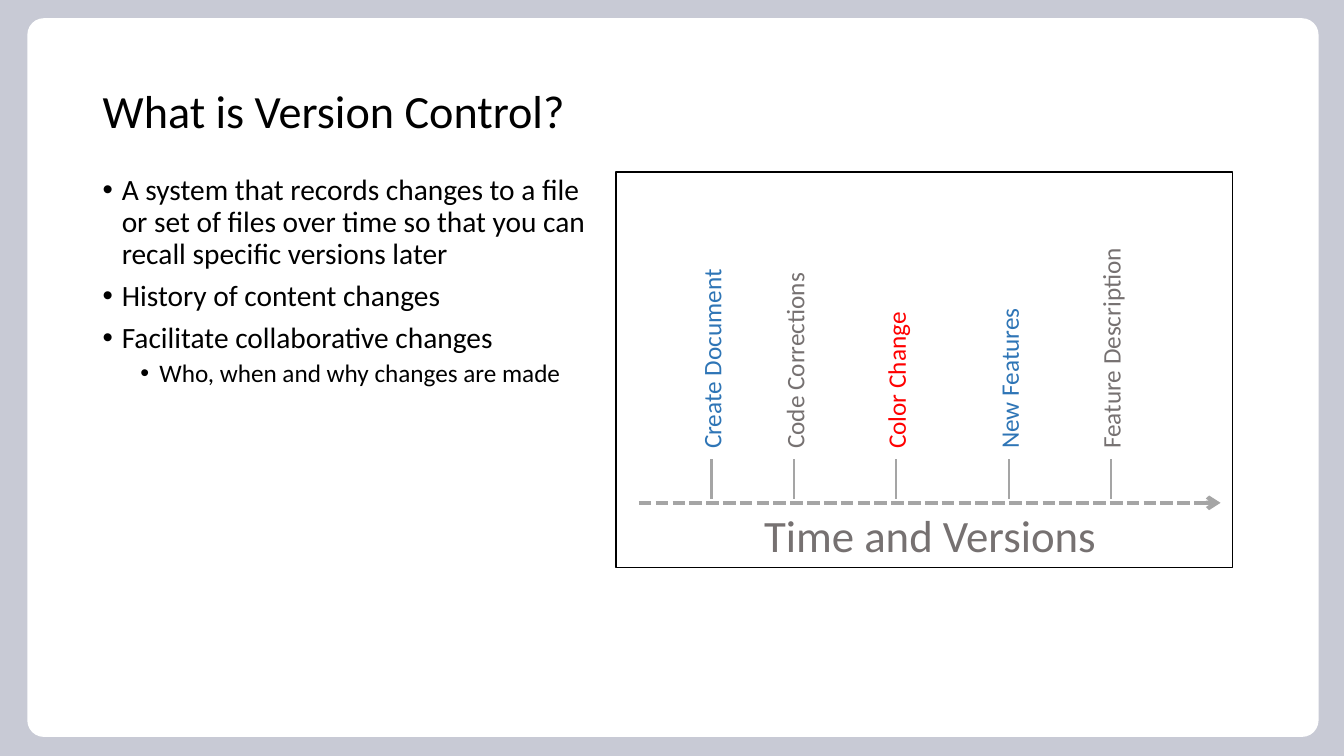
from lxml.etree import SubElement
from pptx import Presentation
from pptx.dml.color import RGBColor
from pptx.enum.dml import MSO_LINE
from pptx.enum.shapes import MSO_CONNECTOR, MSO_SHAPE
from pptx.enum.text import MSO_ANCHOR, PP_ALIGN
from pptx.oxml.ns import qn
from pptx.util import Cm, Pt

BLACK, WHITE, GREY, BLUE, RED = "000000", "FFFFFF", "767171", "2E75B6", "FF0000"
BACKDROP, AXIS = "C8CAD5", "A5A5A5"
AXIS_LEFT, AXIS_RIGHT, AXIS_Y = 16.1, 30.76, 12.67
TICK_TOP, TICK_BOTTOM = 11.56, 12.57
LABEL_HEIGHT = 1.02

POINTS = [
    (0, "A system that records changes to a file or set of files over time "
        "so that you can recall specific versions later"),
    (0, "History of content changes"),
    (0, "Facilitate collaborative changes"),
    (1, "Who, when and why changes are made"),
]
VERSIONS = [
    (17.93, 5.08, "Create Document", BLUE),
    (20.02, 5.08, "Code Corrections", GREY),
    (22.58, 5.08, "Color Change", RED),
    (25.43, 5.08, "New Features", BLUE),
    (27.99, 5.74, "Feature Description", GREY),
]


def paint(target, color):
    target.solid()
    target.fore_color.rgb = RGBColor.from_string(color)


def add_panel(slide, preset, left, top, width, height, border=None):
    panel = slide.shapes.add_shape(preset, Cm(left), Cm(top), Cm(width), Cm(height))
    panel.shadow.inherit = False
    paint(panel.fill, WHITE)
    if border:
        paint(panel.line.fill, border)
        panel.line.width = Pt(1)
    else:
        panel.line.fill.background()
    return panel


def add_box(slide, left, top, width, height, anchor=MSO_ANCHOR.TOP):
    box = slide.shapes.add_textbox(Cm(left), Cm(top), Cm(width), Cm(height))
    box.text_frame.word_wrap = True
    box.text_frame.vertical_anchor = anchor
    return box


def write(paragraph, words, size, color):
    run = paragraph.add_run()
    run.text = words
    run.font.name = "Calibri"
    run.font.size = Pt(size)
    paint(run.font.fill, color)


def add_title(slide, words):
    title = add_box(slide, 2.34, 1.02, 29.21, 3.68, MSO_ANCHOR.MIDDLE)
    paragraph = title.text_frame.paragraphs[0]
    paragraph.line_spacing = 0.9
    write(paragraph, words, 33, BLACK)


def add_bullets(slide, points):
    frame = add_box(slide, 2.34, 4.29, 12.67, 9.63).text_frame
    for index, (level, words) in enumerate(points):
        paragraph = frame.add_paragraph() if index else frame.paragraphs[0]
        properties = paragraph._p.get_or_add_pPr()
        properties.set("marL", str(Cm(0.48 + 0.95 * level)))
        properties.set("indent", str(Cm(-0.48)))
        SubElement(properties, qn("a:buFont"), typeface="Arial")
        SubElement(properties, qn("a:buChar"), char="•")
        paragraph.level = level
        paragraph.line_spacing = 0.9
        if index:
            paragraph.space_before = Pt(3.8 if level else 7.5)
        write(paragraph, words, 18 if level else 21, BLACK)


def add_line(slide, x1, y1, x2, y2, width):
    line = slide.shapes.add_connector(
        MSO_CONNECTOR.STRAIGHT, Cm(x1), Cm(y1), Cm(x2), Cm(y2))
    paint(line.line.fill, AXIS)
    line.line.width = Pt(width)
    SubElement(line._element.spPr, qn("a:effectLst"))
    return line


def add_time_axis(slide, words):
    caption = add_box(slide, AXIS_LEFT, AXIS_Y, 14.68, 1.63)
    paragraph = caption.text_frame.paragraphs[0]
    paragraph.alignment = PP_ALIGN.CENTER
    write(paragraph, words, 32, GREY)
    axis = add_line(slide, AXIS_LEFT, AXIS_Y, AXIS_RIGHT, AXIS_Y, 3)
    axis.line.dash_style = MSO_LINE.SQUARE_DOT
    SubElement(axis.line._get_or_add_ln(), qn("a:tailEnd"), type="arrow")


def add_version(slide, x, length, words, color):
    middle = TICK_TOP - length / 2
    label = add_box(slide, x - length / 2, middle - LABEL_HEIGHT / 2, length, LABEL_HEIGHT)
    label.rotation = 270
    write(label.text_frame.paragraphs[0], words, 18, color)
    add_line(slide, x, TICK_BOTTOM, x, TICK_TOP, 1.5)


def main():
    deck = Presentation()
    deck.slide_width, deck.slide_height = Cm(33.87), Cm(19.05)
    slide = deck.slides.add_slide(deck.slide_layouts[6])
    paint(slide.background.fill, BACKDROP)
    card = add_panel(slide, MSO_SHAPE.ROUNDED_RECTANGLE, 0.69, 0.46, 32.54, 18.11)
    card.adjustments[0] = 0.023
    add_title(slide, "What is Version Control?")
    add_bullets(slide, POINTS)
    add_panel(slide, MSO_SHAPE.RECTANGLE, 15.52, 4.34, 15.54, 9.96, BLACK)
    add_time_axis(slide, "Time and Versions")
    for version in VERSIONS:
        add_version(slide, *version)
    deck.save("out.pptx")


if __name__ == "__main__":
    main()
